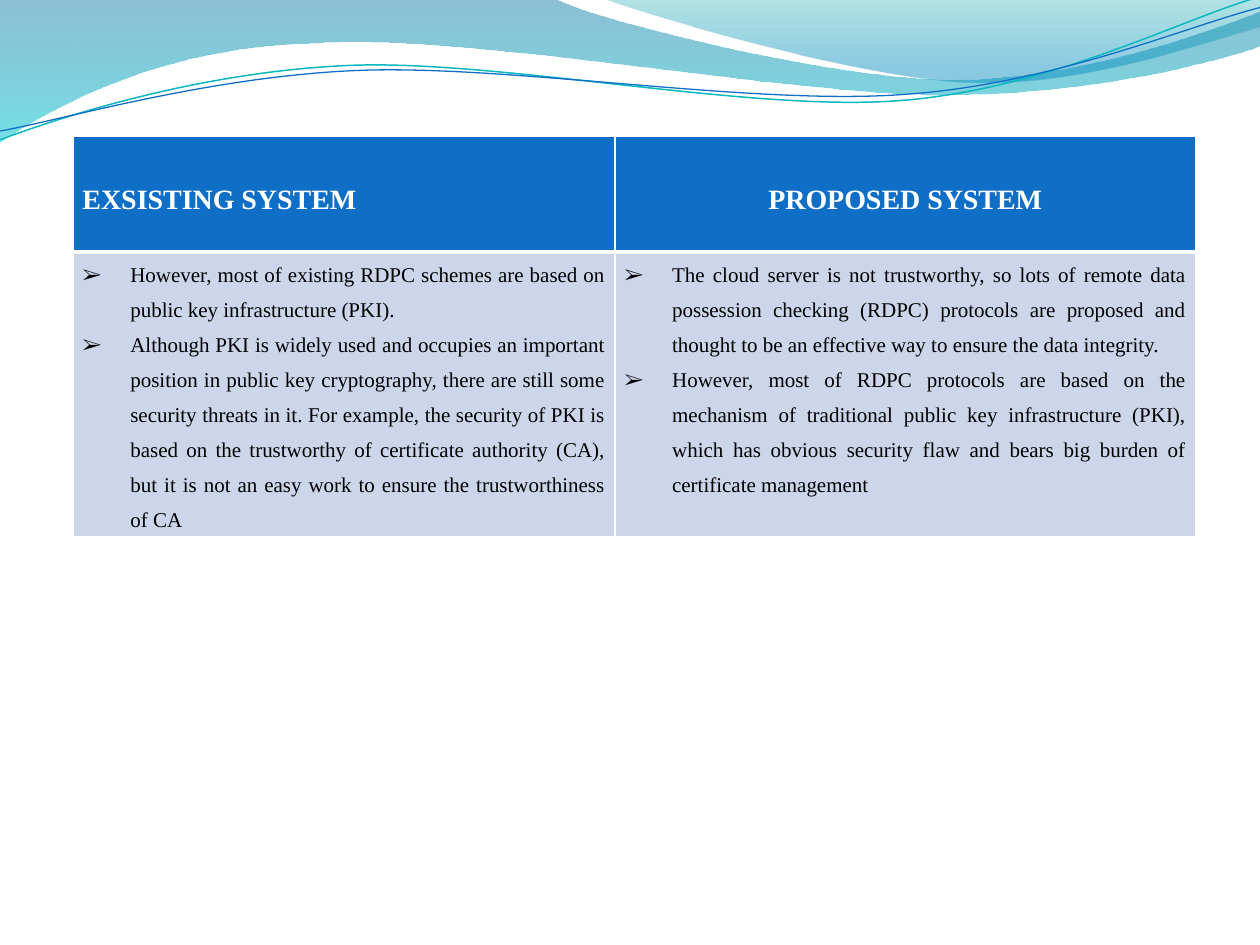
import pptx
import pptx.dml.color
import pptx.enum.text
import pptx.oxml
import pptx.oxml.ns
import pptx.util
from pptx.util import Inches

RGB = pptx.dml.color.RGBColor
Align = pptx.enum.text.PP_ALIGN
Pt = pptx.util.Pt
NS = pptx.oxml.ns.nsdecls("a")

WHITE = RGB(0xFF, 0xFF, 0xFF)
BLACK = RGB(0, 0, 0)
BLUE = RGB(0x0F, 0x6F, 0xC6)
PALE = RGB(0xCC, 0xD5, 0xEA)
TEAL = RGB(0x0A, 0xB8, 0xBF)
STEEL = RGB(0x00, 0x74, 0xA1)
AQUA = RGB(0x00, 0xC6, 0xCF)
GREEN = RGB(0x00, 0xA1, 0xA9)
SKY = RGB(0x00, 0x8B, 0xBF)

BAND = [(0, 0), (4.4, -0.01), (4.76, 0.17, 6.64, 0.63, 7.58, 0.63),
        (8.53, 0.63, 9.58, 0.26, 10, 0.09), (10.01, 0.36),
        (9.83, 0.44, 8.7, 0.76, 7.46, 0.75), (6.22, 0.75, 3.82, 0.28, 2.57, 0.34),
        (1.29, 0.36, 0.46, 0.83, -0.01, 1.13), (0, 0)]
CREST = [(4.79, -0.01), (5.09, 0.11, 6.82, 0.62, 7.69, 0.65),
         (8.56, 0.69, 9.61, 0.32, 10, 0.21), (10, 0), (4.79, -0.01)]
UPPER = [(0, 1.11), (0.48, 0.93, 1.58, 0.57, 2.77, 0.52),
         (3.95, 0.47, 5.93, 0.89, 7.13, 0.8), (8.33, 0.71, 9.38, 0.15, 9.98, -0.02)]
LOWER = [(0, 1.04), (0.47, 0.96, 1.64, 0.61, 2.83, 0.56),
         (4.03, 0.51, 5.97, 0.84, 7.17, 0.75), (8.36, 0.67, 9.41, 0.21, 10, 0.06)]

HEADS = [("EXSISTING SYSTEM", Align.LEFT), ("PROPOSED SYSTEM", Align.CENTER)]
POINTS = [
    ["However, most of existing RDPC schemes are based on public key infrastructure (PKI).",
     "Although PKI is widely used and occupies an important position in public key "
     "cryptography, there are still some security threats in it. For example, the security "
     "of PKI is based on the trustworthy of certificate authority (CA), but it is not an "
     "easy work to ensure the trustworthiness of CA"],
    ["The cloud server is not trustworthy, so lots of remote data possession checking "
     "(RDPC) protocols are proposed and thought to be an effective way to ensure the data "
     "integrity.",
     "However, most of RDPC protocols are based on the mechanism of traditional public key "
     "infrastructure (PKI), which has obvious security flaw and bears big burden of "
     "certificate management"],
]


class Deck:
    """Hold the style and the current slide, and draw each kind of element."""

    face = "Times New Roman"

    def __init__(self):
        self.show = pptx.Presentation()
        self.show.slide_width, self.show.slide_height = Inches(10), Inches(7.5)
        self.slide = self.show.slides.add_slide(self.show.slide_layouts[6])

    def shape(self, path, close):
        dots = [(Inches(part[-2]), Inches(part[-1])) for part in path]
        pen = self.slide.shapes.build_freeform(*dots[0])
        pen.add_line_segments(dots[1:], close=close)
        form = pen.convert_to_shape()
        form.shadow.inherit = False
        lines = list(form.element.iter(pptx.oxml.ns.qn("a:lnTo")))
        for line, part in zip(lines, path[1:]):
            if len(part) == 6:
                self.bend(line, part, form.left, form.top)
        return form

    def bend(self, line, part, left, top):
        marks = "".join(
            f'<a:pt x="{Inches(x) - left}" y="{Inches(y) - top}"/>'
            for x, y in zip(part[::2], part[1::2]))
        line.getparent().replace(line, pptx.oxml.parse_xml(
            f'<a:cubicBezTo {NS}>{marks}</a:cubicBezTo>'))

    def wave(self, path, stops):
        form = self.shape(path, True)
        form.line.fill.background()
        marks = "".join(
            f'<a:gs pos="{at * 1000}"><a:srgbClr val="{tint}">'
            f'<a:alpha val="{alpha * 1000}"/></a:srgbClr></a:gs>'
            for at, tint, alpha in stops)
        fill = pptx.oxml.parse_xml(
            f'<a:gradFill {NS} rotWithShape="1"><a:gsLst>{marks}</a:gsLst>'
            '<a:lin ang="5400000" scaled="0"/></a:gradFill>')
        form.element.spPr.find(pptx.oxml.ns.qn("a:custGeom")).addnext(fill)

    def curve(self, path, tint, width):
        form = self.shape(path, False)
        form.fill.background()
        form.line.color.rgb = tint
        form.line.width = Pt(width)

    def grid(self, left, top, cols, rows):
        frame = self.slide.shapes.add_table(
            len(rows), len(cols), Inches(left), Inches(top),
            Inches(sum(cols)), Inches(sum(rows)))
        table = frame.table
        table.horz_banding = False
        for col, size in zip(table.columns, cols):
            col.width = Inches(size)
        for row, size in zip(table.rows, rows):
            row.height = Inches(size)
        return table

    def cell(self, cell, fill, edges, inset=0):
        cell.margin_left = cell.margin_right = Pt(5.4)
        cell.margin_top, cell.margin_bottom = Inches(inset), 0
        for side, width in zip("LRTB", edges):
            cell._tc.get_or_add_tcPr().append(pptx.oxml.parse_xml(
                f'<a:ln{side} {NS} w="{Pt(width)}"><a:solidFill>'
                f'<a:srgbClr val="{WHITE}"/></a:solidFill></a:ln{side}>'))
        cell.fill.solid()
        cell.fill.fore_color.rgb = fill

    def text(self, para, words, size, tint, bold, align, space):
        para.text = words
        para.alignment = align
        para.line_spacing = space
        font = para.font
        font.name, font.size, font.bold = self.face, Pt(size), bold
        font.color.rgb = tint

    def head(self, cell, words, align):
        self.cell(cell, BLUE, (1, 1, 1, 3), 0.35)
        para = cell.text_frame.paragraphs[0]
        self.text(para, words, 16, WHITE, True, align, 1.15)
        para.space_after = Pt(10)

    def points(self, cell, items):
        self.cell(cell, PALE, (1, 1, 3, 1))
        frame = cell.text_frame
        for i, words in enumerate(items):
            para = frame.add_paragraph() if i else frame.paragraphs[0]
            props = para._p.get_or_add_pPr()
            props.set("marL", str(Inches(0.38)))
            props.set("indent", str(-Inches(0.38)))
            for mark in (f'buFont {NS} typeface="{self.face}"', f'buChar {NS} char="➢"'):
                props.append(pptx.oxml.parse_xml(f"<a:{mark}/>"))
            self.text(para, words, 12, BLACK, False, Align.JUSTIFY, 1.5)


def main():
    deck = Deck()
    deck.wave(BAND, [(0, STEEL, 45), (100, AQUA, 55)])
    deck.wave(CREST, [(0, GREEN, 30), (80, SKY, 45)])
    deck.curve(UPPER, TEAL, 0.85)
    deck.curve(LOWER, BLUE, 0.75)
    table = deck.grid(0.58, 1.08, (4.3, 4.61), (0.92, 2.26))
    for col, (title, items) in enumerate(zip(HEADS, POINTS)):
        deck.head(table.cell(0, col), *title)
        deck.points(table.cell(1, col), items)
    deck.show.save("out.pptx")


if __name__ == "__main__":
    main()
